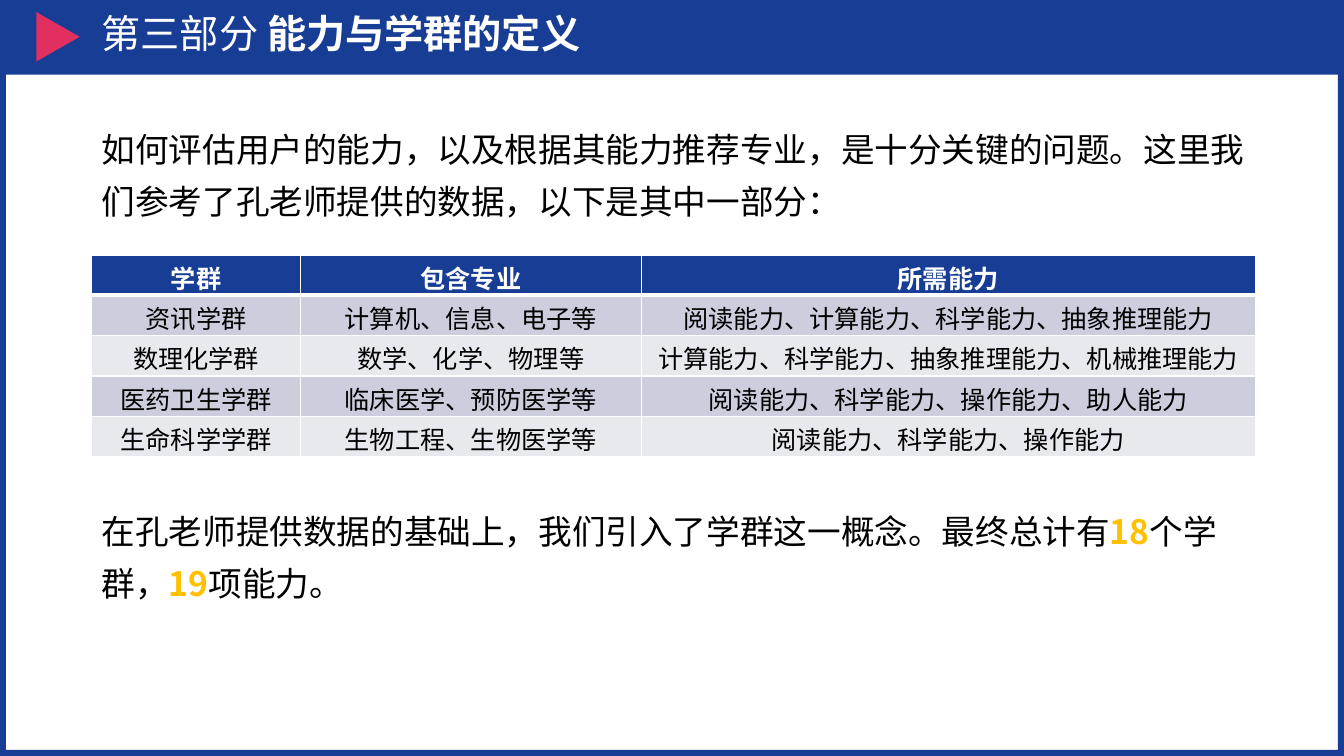
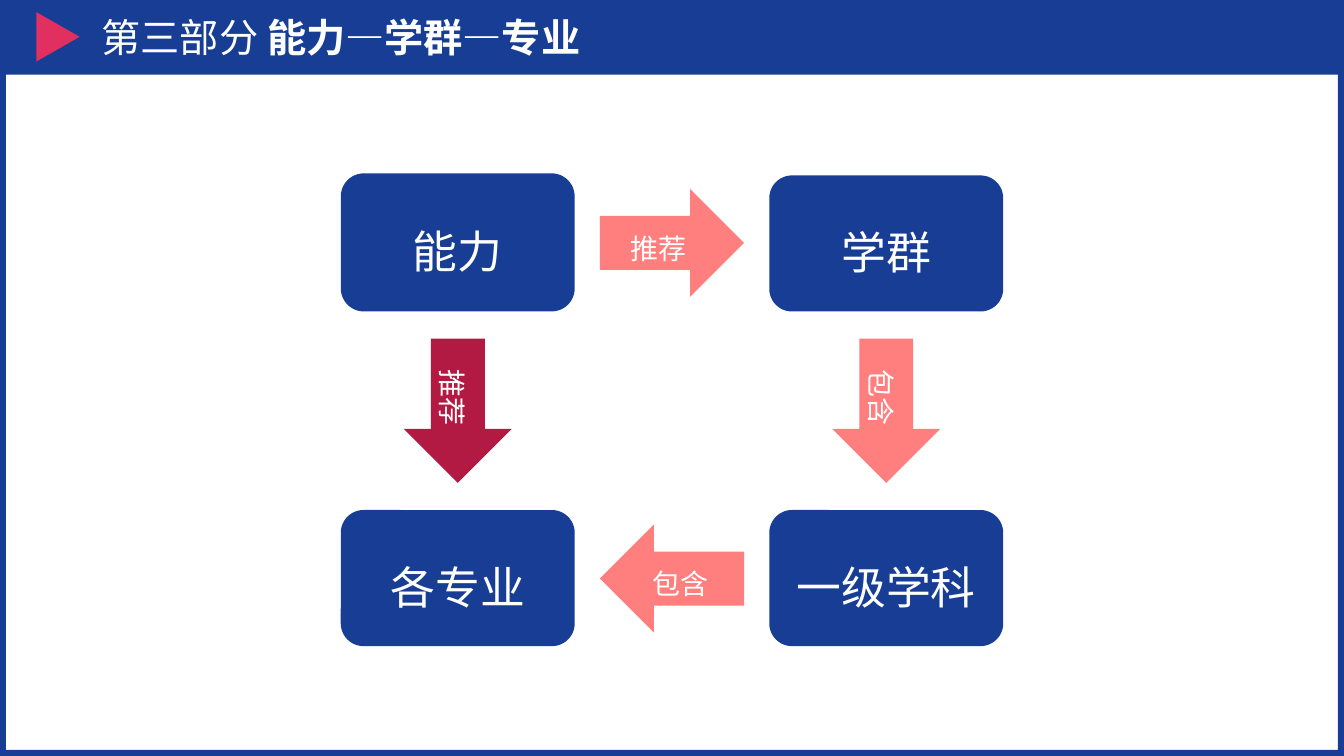
from dataclasses import dataclass

from lxml import etree
from pptx import Presentation
from pptx.dml.color import RGBColor
from pptx.enum.shapes import MSO_SHAPE as Shape
from pptx.enum.text import MSO_ANCHOR as Anchor, PP_ALIGN as Align
from pptx.oxml.ns import qn
from pptx.util import Inches, Pt


@dataclass(frozen=True)
class Theme:
    font: str = "Noto Sans CJK SC"
    navy: str = "173D95"
    red: str = "E1305F"
    crimson: str = "B31A43"
    coral: str = "FF7E7E"
    gold: str = "FFC000"
    white: str = "FFFFFF"
    black: str = "000000"
    bands: tuple = ("CCCEDD", "E8E8EF")
    title: int = 28
    body: int = 24
    cell: int = 18
    node: int = 32
    arrow: int = 20


THEME = Theme()
WIDTH, HEIGHT = 13.33, 7.5
BAND_HEIGHT = 0.74
LEFT, TEXT_WIDTH = 0.91, 11.54

# Content: bold runs are marked with True
SECTION = "第三部分 "
INTRO = [("如何评估用户的能力，以及根据其能力推荐专业，是十分关键的问题。"
          "这里我们参考了孔老师提供的数据，以下是其中一部分：", False)]
SUMMARY = [
    ("在孔老师提供数据的基础上，我们引入了学群这一概念。最终总计有", False),
    ("18", True),
    ("个学群，", False),
    ("19", True),
    ("项能力。", False),
]
TABLE_COLUMNS = [("学群", 2.07), ("包含专业", 3.38), ("所需能力", 6.09)]
TABLE_ROWS = [
    ("资讯学群", "计算机、信息、电子等", "阅读能力、计算能力、科学能力、抽象推理能力"),
    ("数理化学群", "数学、化学、物理等", "计算能力、科学能力、抽象推理能力、机械推理能力"),
    ("医药卫生学群", "临床医学、预防医学等", "阅读能力、科学能力、操作能力、助人能力"),
    ("生命科学学群", "生物工程、生物医学等", "阅读能力、科学能力、操作能力"),
]
ROW_HEIGHT = 0.4

# Flow diagram: column and row centres, then parts placed on them
COLUMN_X = (4.54, 8.79)
ROW_Y = (2.41, 5.74)
MIDDLE_X, MIDDLE_Y = sum(COLUMN_X) / 2, sum(ROW_Y) / 2
NODE_WIDTH, ARROW_WIDTH, ARROW_HEIGHT = 2.32, 1.43, 1.07
NODES = [  # text, column, top, height
    ("能力", 0, 1.72, 1.37),
    ("学群", 1, 1.74, 1.35),
    ("一级学科", 1, 5.06, 1.35),
    ("各专业", 0, 5.06, 1.35),
]
ARROWS = [  # text, centre x, centre y, preset, rotation, colour
    ("推荐", MIDDLE_X, ROW_Y[0], Shape.RIGHT_ARROW, 0, THEME.coral),
    ("包含", COLUMN_X[1], MIDDLE_Y, Shape.RIGHT_ARROW, 90, THEME.coral),
    ("推荐", COLUMN_X[0], MIDDLE_Y, Shape.RIGHT_ARROW, 90, THEME.crimson),
    ("包含", MIDDLE_X, ROW_Y[1], Shape.LEFT_ARROW, 0, THEME.coral),
]


# Building blocks
def add_span(para, text, size, color, bold=False):
    span = para.add_run()
    span.text = text
    font = span.font
    font.size, font.bold, font.name = Pt(size), bold, THEME.font
    font.color.rgb = RGBColor.from_string(color)
    east_asian = etree.SubElement(span._r.get_or_add_rPr(), qn("a:ea"))
    east_asian.set("typeface", THEME.font)


def add_block(slide, preset, left, top, width, height, color):
    block = slide.shapes.add_shape(
        preset, Inches(left), Inches(top), Inches(width), Inches(height))
    block.shadow.inherit = False
    block.fill.solid()
    block.fill.fore_color.rgb = RGBColor.from_string(color)
    block.line.fill.background()
    return block


def label_block(block, text, size):
    frame = block.text_frame
    frame.word_wrap = True
    frame.vertical_anchor = Anchor.MIDDLE
    para = frame.paragraphs[0]
    para.alignment = Align.CENTER
    para.line_spacing = 1.3
    add_span(para, text, size, THEME.white)


def add_text_box(slide, left, top, width, height):
    box = slide.shapes.add_textbox(
        Inches(left), Inches(top), Inches(width), Inches(height))
    box.text_frame.word_wrap = True
    return box.text_frame


def add_body(slide, top, runs):
    para = add_text_box(slide, LEFT, top, TEXT_WIDTH, 1.1).paragraphs[0]
    para.line_spacing = 1.3
    para.space_before = Pt(6)
    for text, strong in runs:
        color = THEME.gold if strong else THEME.black
        add_span(para, text, THEME.body, color, strong)


def add_base_slide(deck, title, title_top=0):
    slide = deck.slides.add_slide(deck.slide_layouts[6])
    border = add_block(slide, Shape.FRAME, 0, 0, WIDTH, HEIGHT, THEME.navy)
    border.adjustments[0] = 0.008
    add_block(slide, Shape.RECTANGLE, 0, 0, WIDTH, BAND_HEIGHT, THEME.navy)
    marker = add_block(slide, Shape.ISOSCELES_TRIANGLE,
                       0.33, 0.15, 0.49, 0.43, THEME.red)
    marker.rotation = 90
    frame = add_text_box(slide, LEFT, title_top, 11.98, BAND_HEIGHT)
    frame.vertical_anchor = Anchor.MIDDLE
    para = frame.paragraphs[0]
    para.space_before = Pt(10)
    add_span(para, SECTION, THEME.title, THEME.white)
    add_span(para, title, THEME.title, THEME.white, True)
    return slide


# Table
def set_borders(cell, widths):
    properties = cell._tc.get_or_add_tcPr()
    for index, (side, width) in enumerate(widths.items()):
        line = etree.Element(qn(f"a:ln{side}"), w=str(Pt(width)))
        fill = etree.SubElement(line, qn("a:solidFill"))
        etree.SubElement(fill, qn("a:srgbClr"), val=THEME.white)
        properties.insert(index, line)


def add_group_table(slide, top):
    rows = [[name for name, _ in TABLE_COLUMNS], *TABLE_ROWS]
    table = slide.shapes.add_table(
        len(rows), len(TABLE_COLUMNS), Inches(LEFT), Inches(top),
        Inches(TEXT_WIDTH), Inches(ROW_HEIGHT * len(rows))).table
    for column, (_, width) in zip(table.columns, TABLE_COLUMNS):
        column.width = Inches(width)
    for r, texts in enumerate(rows):
        header = r == 0
        table.rows[r].height = Inches(ROW_HEIGHT)
        fill = THEME.navy if header else THEME.bands[(r - 1) % 2]
        color = THEME.white if header else THEME.black
        borders = {"L": 1, "R": 1, "T": 3 if r == 1 else 1,
                   "B": 3 if header else 1}
        for c, text in enumerate(texts):
            cell = table.cell(r, c)
            cell.margin_top, cell.margin_bottom = Inches(0.04), 0
            cell.fill.solid()
            cell.fill.fore_color.rgb = RGBColor.from_string(fill)
            set_borders(cell, borders)
            para = cell.text_frame.paragraphs[0]
            para.alignment = Align.CENTER
            add_span(para, text, THEME.cell, color, header)


# Slides
def build_definition_slide(deck):
    slide = add_base_slide(deck, "能力与学群的定义", -0.04)
    add_body(slide, 1.11, INTRO)
    add_group_table(slide, 2.53)
    add_body(slide, 4.9, SUMMARY)


def build_flow_slide(deck):
    slide = add_base_slide(deck, "能力—学群—专业")
    for text, column, top, height in NODES:
        node = add_block(slide, Shape.ROUNDED_RECTANGLE,
                         COLUMN_X[column] - NODE_WIDTH / 2, top,
                         NODE_WIDTH, height, THEME.navy)
        label_block(node, text, THEME.node)
    for text, x, y, preset, rotation, color in ARROWS:
        arrow = add_block(slide, preset, x - ARROW_WIDTH / 2,
                          y - ARROW_HEIGHT / 2, ARROW_WIDTH, ARROW_HEIGHT, color)
        arrow.rotation = rotation
        label_block(arrow, text, THEME.arrow)
        if preset == Shape.LEFT_ARROW:
            arrow.text_frame.margin_right = Inches(0.2)


def main():
    deck = Presentation()
    deck.slide_width, deck.slide_height = Inches(WIDTH), Inches(HEIGHT)
    build_definition_slide(deck)
    build_flow_slide(deck)
    deck.save("out.pptx")


if __name__ == "__main__":
    main()
